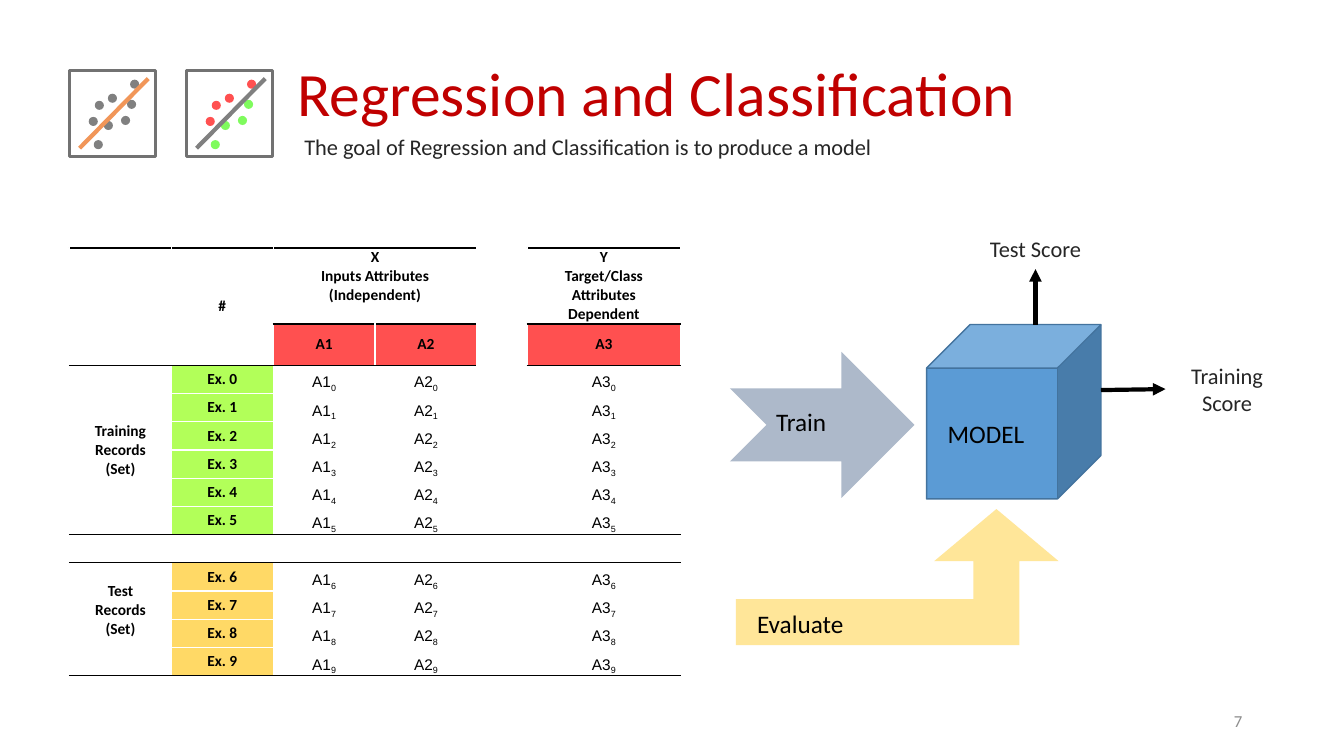
from dataclasses import dataclass

from lxml.etree import SubElement
from pptx import Presentation
from pptx.dml.color import RGBColor
from pptx.enum.shapes import MSO_CONNECTOR, MSO_SHAPE as Preset
from pptx.enum.text import MSO_ANCHOR as Anchor, MSO_AUTO_SIZE, PP_ALIGN as Align
from pptx.oxml.ns import qn
from pptx.util import Inches, Pt

BLACK, WHITE, INK, GRAY = "000000", "FFFFFF", "262626", "808080"
RED, LEAF, ORANGE = "FF5050", "7FFB5D", "F19659"
GREEN, YELLOW = "B2FF59", "FFD966"


@dataclass
class Label:
    text: str
    box: tuple[float, float, float, float]
    size: int = 16
    color: str = INK
    align: Align = Align.LEFT
    anchor: Anchor = Anchor.MIDDLE
    wrap: bool = True


@dataclass
class Block:
    preset: Preset
    box: tuple[float, float, float, float]
    fill: str | None = None
    line: str | None = None
    line_width: float = 1
    adjustments: tuple[float, ...] = ()


@dataclass
class Line:
    start: tuple[float, float]
    end: tuple[float, float]
    color: str = BLACK
    arrow: bool = False


@dataclass
class ScatterIcon:
    left: float
    upper_color: str
    lower_color: str
    trend_color: str


@dataclass
class RecordSet:
    name: str
    first_row: int
    first_example: int
    count: int
    color: str
    bottom_inset: float = 0


def rgb(color: str) -> RGBColor:
    return RGBColor.from_string(color)


def write(frame, text: str, *, size: float = 11, color: str = BLACK, font: str = "Calibri",
          bold: bool = False, align: Align = Align.LEFT, subscript: str = "",
          spacing: float | None = None) -> None:
    for index, line in enumerate(text.split("\n")):
        paragraph = frame.add_paragraph() if index else frame.paragraphs[0]
        paragraph.alignment = align
        paragraph.line_spacing = spacing
        for part in filter(None, (line, subscript)):
            run = paragraph.add_run()
            run.text = part
            run.font.size, run.font.name, run.font.bold = Pt(size), font, bold
            run.font.color.rgb = rgb(color)
        if subscript:
            run._r.get_or_add_rPr().set("baseline", "-25000")


def add_label(slide, label: Label) -> None:
    frame = slide.shapes.add_textbox(*map(Inches, label.box)).text_frame
    frame.word_wrap = label.wrap
    frame.vertical_anchor = label.anchor
    write(frame, label.text, size=label.size, color=label.color, align=label.align)


def add_block(slide, block: Block) -> None:
    shape = slide.shapes.add_shape(block.preset, *map(Inches, block.box))
    shape.shadow.inherit = False
    for index, value in enumerate(block.adjustments):
        shape.adjustments[index] = value
    if block.fill:
        shape.fill.solid()
        shape.fill.fore_color.rgb = rgb(block.fill)
    else:
        shape.fill.background()
    if block.line:
        shape.line.color.rgb = rgb(block.line)
        shape.line.width = Pt(block.line_width)
    else:
        shape.line.fill.background()


def add_line(slide, line: Line) -> None:
    connector = slide.shapes.add_connector(
        MSO_CONNECTOR.STRAIGHT, *map(Inches, line.start + line.end))
    connector.line.color.rgb = rgb(line.color)
    connector.line.width = Pt(3)
    if line.arrow:
        SubElement(connector.line._get_or_add_ln(), qn("a:tailEnd"), type="triangle")
    SubElement(connector._element.spPr, qn("a:effectLst"))


# Dot offsets inside an icon: above and below the trend line
UPPER_DOTS = [(0.25, 0.3), (0.38, 0.23), (0.19, 0.46), (0.6, 0.09)]
LOWER_DOTS = [(0.24, 0.69), (0.34, 0.5), (0.51, 0.45), (0.57, 0.29)]
ICON_TOP = 0.7


def add_icon(slide, icon: ScatterIcon) -> None:
    add_block(slide, Block(Preset.RECTANGLE, (icon.left, ICON_TOP, 0.85, 0.85),
                           line="727272", line_width=2.25))
    for dots, color in ((UPPER_DOTS, icon.upper_color), (LOWER_DOTS, icon.lower_color)):
        for x, y in dots:
            add_block(slide, Block(Preset.OVAL, (icon.left + x, ICON_TOP + y, 0.09, 0.09), color))
    add_line(slide, Line((icon.left + 0.1, ICON_TOP + 0.77),
                         (icon.left + 0.78, ICON_TOP + 0.08), icon.trend_color))


# Table of records
COLUMN_WIDTHS = [1.01, 1.01, 1.01, 1.01, 0.5, 1.52]
ROW_HEIGHTS = [0.73, 0.41] + [0.28] * 11
ATTRIBUTES = {2: "A1", 3: "A2", 5: "A3"}
ALL_COLUMNS = set(range(6))
# Columns ruled in black below each row; -1 is the top edge
BLACK_BELOW = {-1: ALL_COLUMNS - {4}, 0: set(ATTRIBUTES), 1: ALL_COLUMNS - {4},
               7: ALL_COLUMNS, 8: ALL_COLUMNS, 12: ALL_COLUMNS}
RECORD_SETS = [
    RecordSet("Training\nRecords\n(Set)", 2, 0, 6, GREEN),
    RecordSet("Test\nRecords\n(Set)", 9, 6, 4, YELLOW, bottom_inset=0.18),
]


def format_cell(cell, row: int, column: int) -> None:
    cell.margin_left = cell.margin_right = cell.margin_top = cell.margin_bottom = 0
    last_row = row + cell.span_height - 1 if cell.is_merge_origin else row
    properties = cell._tc.get_or_add_tcPr()
    ruled_after = {"L": None, "R": None, "T": row - 1, "B": last_row}
    for side, ruled_row in ruled_after.items():
        color = BLACK if column in BLACK_BELOW.get(ruled_row, ()) else WHITE
        border = SubElement(properties, qn(f"a:ln{side}"), w=str(Pt(1)))
        SubElement(SubElement(border, qn("a:solidFill")), qn("a:srgbClr"), val=color)
    cell.fill.background()
    SubElement(cell.text_frame.paragraphs[0]._p, qn("a:endParaRPr"), sz="1100")


def fill_cell(cell, text: str, *, fill: str | None = None, anchor: Anchor = Anchor.MIDDLE,
              **text_format) -> None:
    cell.vertical_anchor = anchor
    if fill:
        cell.fill.solid()
        cell.fill.fore_color.rgb = rgb(fill)
    write(cell.text_frame, text, align=Align.CENTER, **text_format)


def add_records(slide) -> None:
    records = slide.shapes.add_table(
        len(ROW_HEIGHTS), len(COLUMN_WIDTHS), Inches(0.69), Inches(2.46),
        Inches(sum(COLUMN_WIDTHS)), Inches(sum(ROW_HEIGHTS))).table
    records.first_row = records.horz_banding = False
    for column, width in zip(records.columns, COLUMN_WIDTHS):
        column.width = Inches(width)
    for row, height in zip(records.rows, ROW_HEIGHTS):
        row.height = Inches(height)
    spans = [((0, 0), (1, 0)), ((0, 1), (1, 1)), ((0, 2), (0, 3))]
    spans += [((s.first_row, 0), (s.first_row + s.count - 1, 0)) for s in RECORD_SETS]
    for first, last in spans:
        records.cell(*first).merge(records.cell(*last))
    for row in range(len(ROW_HEIGHTS)):
        for column in range(len(COLUMN_WIDTHS)):
            format_cell(records.cell(row, column), row, column)

    # Header rows
    fill_cell(records.cell(0, 1), "#", bold=True)
    fill_cell(records.cell(0, 2), "X\nInputs Attributes\n(Independent)",
              anchor=Anchor.TOP, bold=True)
    fill_cell(records.cell(0, 5), "Y\nTarget/Class\nAttributes\nDependent", bold=True)
    for column, attribute in ATTRIBUTES.items():
        fill_cell(records.cell(1, column), attribute, fill=RED, bold=True)

    # Examples
    for record_set in RECORD_SETS:
        name_cell = records.cell(record_set.first_row, 0)
        fill_cell(name_cell, record_set.name, bold=True)
        name_cell.margin_bottom = Inches(record_set.bottom_inset)
        for offset in range(record_set.count):
            row, example = record_set.first_row + offset, record_set.first_example + offset
            fill_cell(records.cell(row, 1), f"Ex. {example}", fill=record_set.color, bold=True)
            for column, attribute in ATTRIBUTES.items():
                fill_cell(records.cell(row, column), attribute, anchor=Anchor.BOTTOM,
                          font="Arial", subscript=str(example))


ICONS = [ScatterIcon(0.69, GRAY, GRAY, ORANGE), ScatterIcon(1.85, RED, LEAF, GRAY)]
MODEL_BLOCKS = [
    Block(Preset.CUBE, (9.19, 3.22, 1.73, 1.73), "5B9BD5", "43739E"),
    Block(Preset.BENT_UP_ARROW, (7.3, 5.05, 3.2, 1.35), "FFE699",
          adjustments=(0.338, 0.457, 0.383)),
    Block(Preset.NOTCHED_RIGHT_ARROW, (7.24, 3.49, 1.83, 1.45), "ADB9CA"),
]
SCORE_ARROWS = [Line((10.27, 3.22), (10.27, 2.67), arrow=True),
                Line((10.92, 3.87), (11.56, 3.86), arrow=True)]
LABELS = [
    Label("The goal of Regression and Classification is to produce a model",
          (2.92, 1.25, 7.23, 0.4)),
    Label("MODEL", (9.3, 4.1, 1.21, 0.4), 18, BLACK, anchor=Anchor.TOP),
    Label("Evaluate", (7.41, 5.99, 1.18, 0.4), 18, BLACK, anchor=Anchor.TOP, wrap=False),
    Label("Train", (7.6, 3.98, 0.77, 0.4), 18, BLACK, anchor=Anchor.TOP, wrap=False),
    Label("Test Score", (9.66, 2.27, 1.22, 0.4), align=Align.CENTER),
    Label("Training Score", (11.56, 3.66, 1.22, 0.4), align=Align.CENTER),
    Label("7", (9.42, 6.95, 3, 0.4), 12, "8C8C8C", Align.RIGHT),
]


def main() -> None:
    deck = Presentation()
    deck.slide_width, deck.slide_height = Inches(13.33), Inches(7.5)
    slide = deck.slides.add_slide(deck.slide_layouts[5])

    # Title
    title = slide.shapes.title
    title.left, title.top, title.width, title.height = map(Inches, (2.85, 0.23, 9.32, 1.45))
    title.text_frame.auto_size = MSO_AUTO_SIZE.NONE
    title.text_frame.vertical_anchor = Anchor.MIDDLE
    write(title.text_frame, "Regression and Classification", size=44, color="C00000", spacing=0.9)

    # Icons, records and model diagram
    for icon in ICONS:
        add_icon(slide, icon)
    add_records(slide)
    for block in MODEL_BLOCKS:
        add_block(slide, block)
    for arrow in SCORE_ARROWS:
        add_line(slide, arrow)
    for label in LABELS:
        add_label(slide, label)
    deck.save("out.pptx")


if __name__ == "__main__":
    main()
